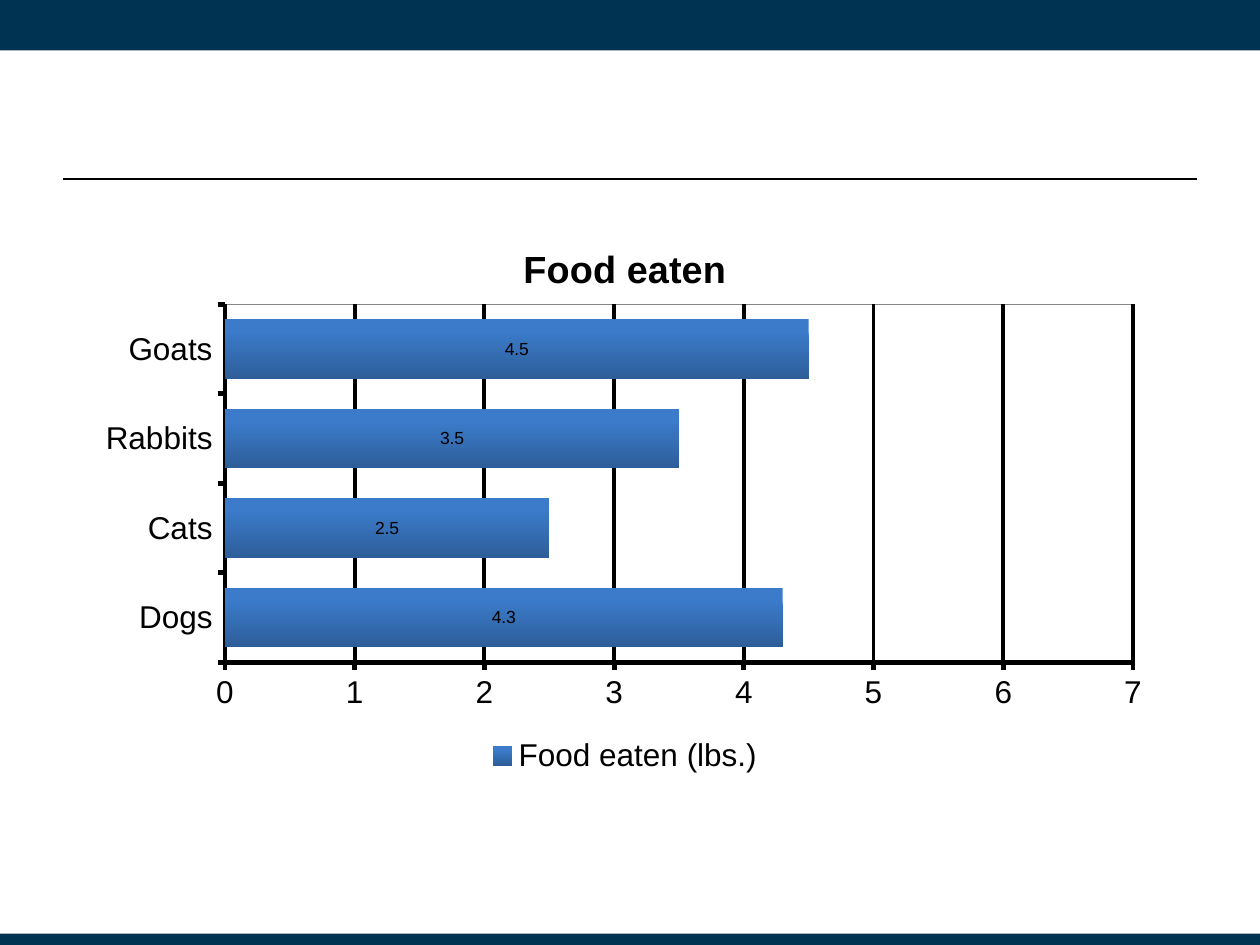
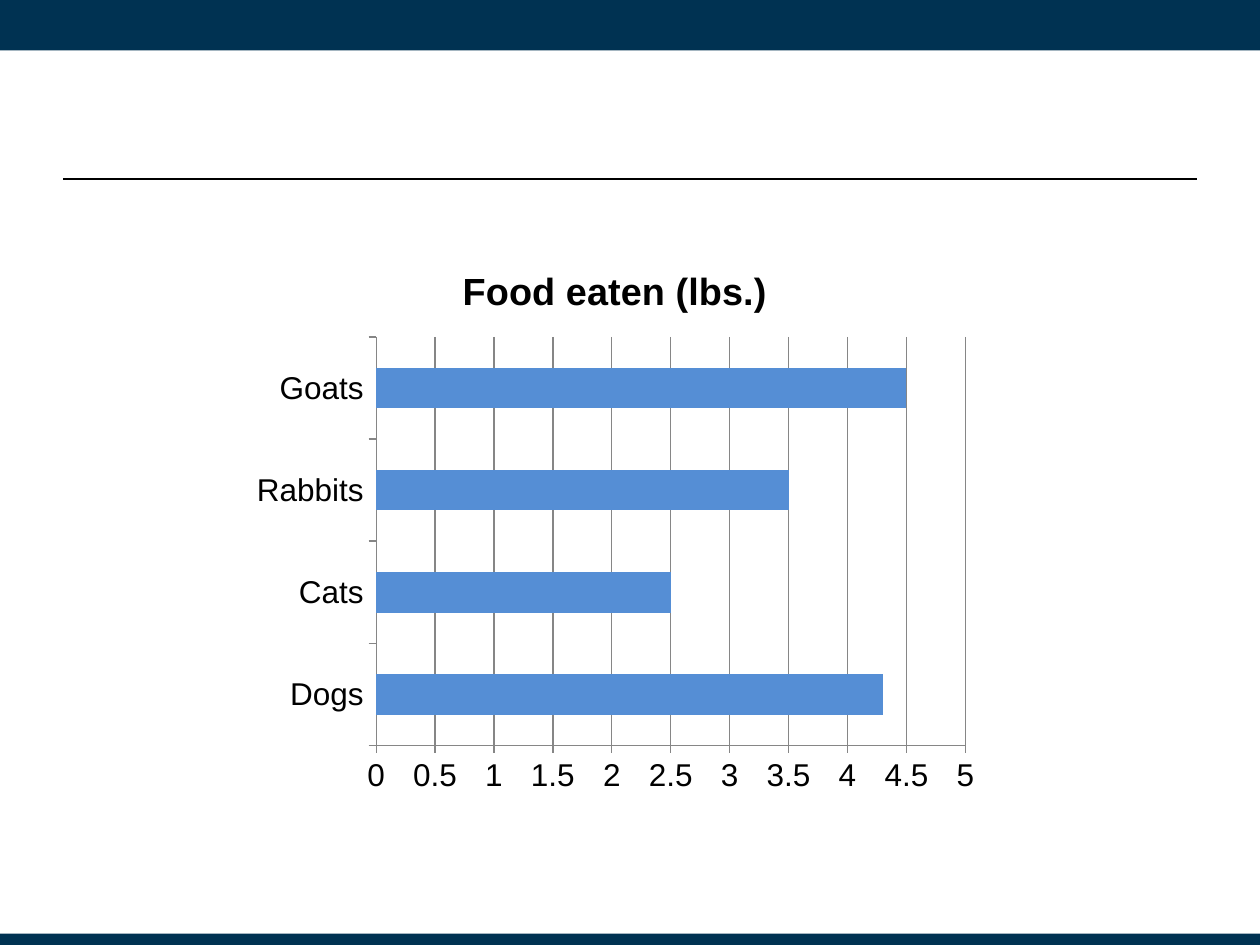
from lxml import etree
from pptx import Presentation
from pptx.chart.data import CategoryChartData
from pptx.dml.color import RGBColor
from pptx.enum.chart import (XL_CHART_TYPE, XL_LABEL_POSITION,
                             XL_LEGEND_POSITION, XL_TICK_MARK)
from pptx.enum.shapes import MSO_CONNECTOR, MSO_SHAPE
from pptx.oxml import parse_xml
from pptx.oxml.ns import nsdecls, qn
from pptx.util import Inches, Pt

BAR = XL_CHART_TYPE.BAR_STACKED
CENTER = XL_LABEL_POSITION.CENTER
BOTTOM = XL_LEGEND_POSITION.BOTTOM
OUT = XL_TICK_MARK.OUTSIDE

WIDE, HIGH = 10, 7.5
FONT = "Arial"
HEX = {"band": "003252", "ink": "000000", "grey": "868686", "flat": "558ED5",
       "top": "3B7BCA", "base": "2D5E99"}

UNIT = "Food eaten (lbs.)"
FOOD = {"Dogs": 4.3, "Cats": 2.5, "Rabbits": 3.5, "Goats": 4.5}
# plot: left, top, width and height as shares of the chart's box
CHARTS = [
    {"title": "Food eaten", "box": (0.67, 1.75, 8.58, 4.44),
     "plot": (0.13, 0.15, 0.84, 0.64), "max": 7, "step": 1, "gap": 50,
     "line": "ink", "axis": 2.75, "grid": 2.25, "rich": True},
    {"title": UNIT, "box": (1.92, 1.92, 5.92, 4.44),
     "plot": (0.18, 0.17, 0.79, 0.73), "max": 5, "step": 0.5, "gap": 150,
     "line": "grey", "axis": 0.75, "grid": 0.75, "rich": False},
]


def rgb(name):
    return RGBColor.from_string(HEX[name])


def stroke(line, name, width):
    line.color.rgb = rgb(name)
    line.width = Pt(width)


def style(font, size, bold=False):
    font.name, font.size, font.bold = FONT, Pt(size), bold
    font.color.rgb = rgb("ink")


def add_frame(slide):
    """Draw the bands and the rule, then move them to the slide's layout."""
    shapes = slide.shapes
    parts = []
    for top, high in ((0, 0.4), (7.41, 0.09)):
        band = shapes.add_shape(MSO_SHAPE.RECTANGLE, 0, Inches(top),
                                Inches(WIDE), Inches(high))
        band.shadow.inherit = False
        band.fill.solid()
        band.fill.fore_color.rgb = rgb("band")
        band.line.fill.background()
        parts.append(band)
    rule = shapes.add_connector(MSO_CONNECTOR.STRAIGHT, Inches(0.5),
                                Inches(1.42), Inches(WIDE - 0.5), Inches(1.42))
    stroke(rule.line, "ink", 1.25)
    etree.SubElement(rule._element.spPr, qn("a:effectLst"))
    tree = slide.slide_layout.shapes._spTree
    for part in parts + [rule]:
        tree.append(part._element)


def place_plot(chart, shares):
    area = chart._chartSpace.chart.plotArea
    for old in area.findall(qn("c:layout")):
        area.remove(old)
    marks = "".join(f'<c:{key}Mode val="edge"/>' for key in "xy")
    sizes = "".join(f'<c:{key} val="{val}"/>' for key, val in zip("xywh", shares))
    area.insert(0, parse_xml(
        f'<c:layout {nsdecls("c")}><c:manualLayout>'
        f'<c:layoutTarget val="inner"/>{marks}{sizes}'
        '</c:manualLayout></c:layout>'))


def outline_plot(chart):
    chart._chartSpace.chart.plotArea.append(parse_xml(
        f'<c:spPr {nsdecls("c", "a")}><a:noFill/><a:ln w="9525"><a:solidFill>'
        f'<a:srgbClr val="{HEX["grey"]}"/></a:solidFill></a:ln></c:spPr>'))


def enrich(chart, bars):
    """Add the gradient, the value labels, the legend and the plot border."""
    fill = bars.format.fill
    fill.gradient()
    fill.gradient_angle = 270
    for stop, name, spot in zip(fill.gradient_stops, ("top", "base"), (0.2, 1)):
        stop.color.rgb = rgb(name)
        stop.position = spot
    labels = bars.data_labels
    labels.show_value = True
    labels.position = CENTER
    style(labels.font, 10)
    chart.has_legend = True
    chart.legend.position = BOTTOM
    chart.legend.include_in_layout = False
    style(chart.legend.font, 18)
    outline_plot(chart)


def add_bars(slide, look):
    data = CategoryChartData()
    data.categories = list(FOOD)
    data.add_series(UNIT, list(FOOD.values()))
    box = [Inches(part) for part in look["box"]]
    chart = slide.shapes.add_chart(BAR, *box, data).chart
    style(chart.font, 18)
    chart.has_title = True
    title = chart.chart_title
    title.include_in_layout = False
    title.text_frame.text = look["title"]
    style(title.text_frame.paragraphs[0].font, 21.6, True)

    for axis in (chart.category_axis, chart.value_axis):
        axis.major_tick_mark = OUT
        stroke(axis.format.line, look["line"], look["axis"])
    scale = chart.value_axis
    scale.minimum_scale, scale.maximum_scale = 0, look["max"]
    scale.major_unit = look["step"]
    scale.has_major_gridlines = True
    stroke(scale.major_gridlines.format.line, look["line"], look["grid"])

    plot = chart.plots[0]
    plot.vary_by_categories = False
    plot.gap_width, plot.overlap = look["gap"], 100
    bars = plot.series[0]
    place_plot(chart, look["plot"])
    if look["rich"]:
        enrich(chart, bars)
    else:
        chart.has_legend = False
        bars.format.fill.solid()
        bars.format.fill.fore_color.rgb = rgb("flat")


def main():
    deck = Presentation()
    deck.slide_width, deck.slide_height = Inches(WIDE), Inches(HIGH)
    blank = deck.slide_layouts[6]
    for spot, look in enumerate(CHARTS):
        slide = deck.slides.add_slide(blank)
        if spot == 0:
            add_frame(slide)
        add_bars(slide, look)
    deck.save("out.pptx")


if __name__ == "__main__":
    main()
